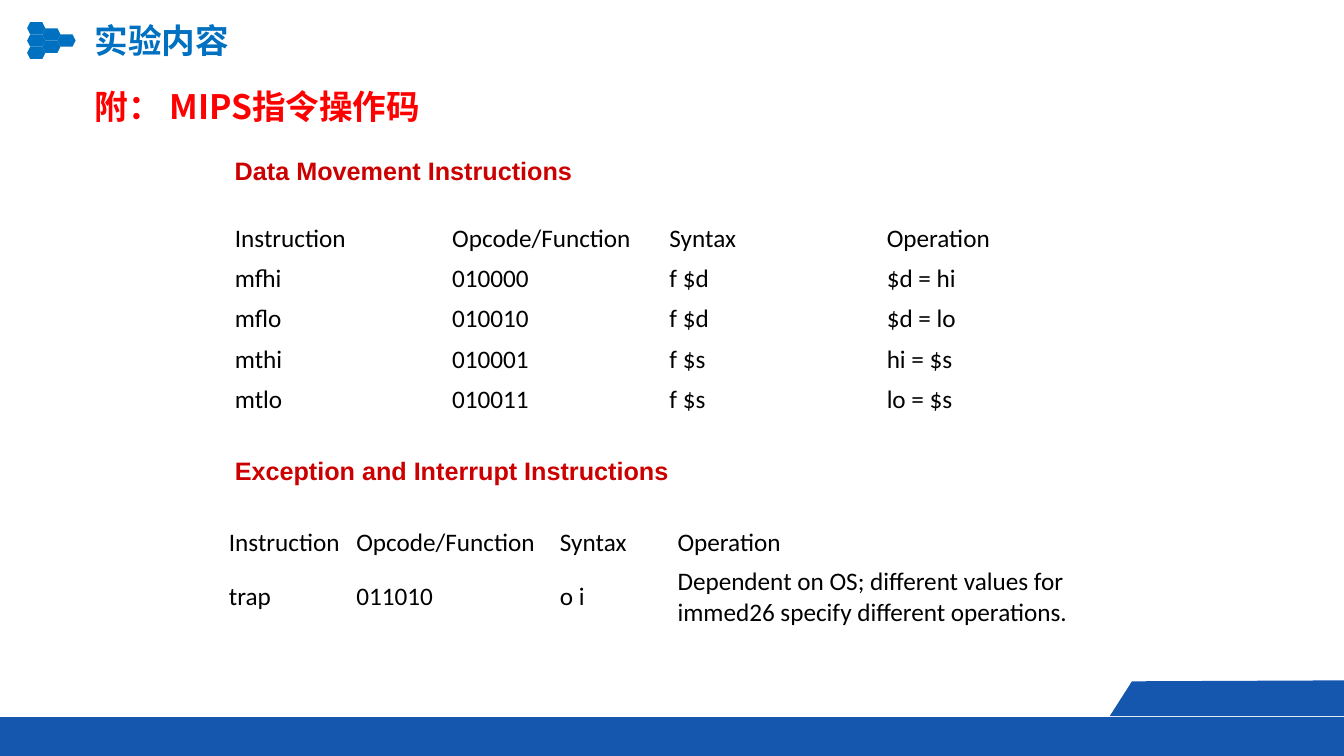
from lxml import etree
from pptx import Presentation
from pptx import util as u
from pptx.dml.color import RGBColor
from pptx.enum import shapes, text
from pptx.oxml import ns

Pt = u.Pt
COLOURS = {
    "icon": "0070C0",
    "footer": "1557AE",
    "appendix": "FF0000",
    "section": "CC0000",
    "body": "000000",
    "cell": "FFFFFF",
}
CJK_FONT = "Noto Sans CJK SC"
HEADER = ["Instruction", "Opcode/Function", "Syntax", "Operation"]
MOVEMENT_ROWS = [
    HEADER,
    ["mfhi", "010000", "f $d", "$d = hi"],
    ["mflo", "010010", "f $d", "$d = lo"],
    ["mthi", "010001", "f $s", "hi = $s"],
    ["mtlo", "010011", "f $s", "lo = $s"],
]
EXCEPTION_ROWS = [
    HEADER,
    ["trap", "011010", "o i",
     "Dependent on OS; different values for immed26 specify different operations."],
]


def colour(name):
    return RGBColor.from_string(COLOURS[name])


def paint(shape, fill):
    shape.shadow.inherit = False
    shape.fill.solid()
    shape.fill.fore_color.rgb = colour(fill)
    shape.line.fill.background()


def format_span(span, font, size, fill, bold=False):
    span.font.name = font
    span.font.size = Pt(size)
    span.font.bold = bold
    span.font.color.rgb = colour(fill)
    if font == CJK_FONT:
        east_asian = etree.SubElement(span.font._element, ns.qn("a:ea"))
        east_asian.set("typeface", font)


def add_shape(page, preset, left, top, width, height, fill):
    shape = page.shapes.add_shape(preset, Pt(left), Pt(top), Pt(width), Pt(height))
    paint(shape, fill)


def add_icon(page):
    for column in range(3):
        for row in range(3 - column):
            add_shape(page, shapes.MSO_SHAPE.HEXAGON, 19.4 + 10.8 * column,
                      15.8 + 4.4 * column + 8.8 * row, 13, 8.8, "icon")


def add_footer(page):
    add_shape(page, shapes.MSO_SHAPE.FLOWCHART_PROCESS, 0, 512, 960, 28, "footer")
    builder = page.shapes.build_freeform(Pt(960), Pt(511.5))
    corners = [(960, 486), (808.6, 486.7), (792.7, 511.5)]
    builder.add_line_segments([(Pt(x), Pt(y)) for x, y in corners])
    paint(builder.convert_to_shape(), "footer")


def add_heading(page, wording, left, top, width, height, font, size, fill, wrap, align):
    box = page.shapes.add_textbox(Pt(left), Pt(top), Pt(width), Pt(height))
    frame = box.text_frame
    frame.text = wording
    frame.word_wrap = wrap
    frame.auto_size = text.MSO_AUTO_SIZE.SHAPE_TO_FIT_TEXT
    para = frame.paragraphs[0]
    para.alignment = align
    format_span(para.runs[0], font, size, fill, True)


def add_title(page, wording, top, width, fill):
    add_heading(page, wording, 60.5, top, width, 36, CJK_FONT, 24, fill,
                True, text.PP_ALIGN.LEFT)


def add_section(page, wording, top, width):
    add_heading(page, wording, 160.6, top, width, 29, "Arial", 18, "section",
                False, text.PP_ALIGN.JUSTIFY)


def add_instructions(page, rows, top, widths, heights, inset=None, fill=None):
    frame = page.shapes.add_table(len(rows), len(widths), Pt(160.6), Pt(top),
                                  Pt(sum(widths)), Pt(sum(heights)))
    table = frame.table
    table.first_row = False
    table.horz_banding = False
    for column, width in zip(table.columns, widths):
        column.width = Pt(width)
    for row, height, wordings in zip(table.rows, heights, rows):
        row.height = Pt(height)
        for cell, wording in zip(row.cells, wordings):
            cell.text_frame.text = wording
            cell.vertical_anchor = text.MSO_ANCHOR.MIDDLE
            if inset is not None:
                cell.margin_left = cell.margin_right = Pt(inset)
                cell.margin_top = cell.margin_bottom = Pt(inset)
            if fill:
                cell.fill.solid()
                cell.fill.fore_color.rgb = colour(fill)
            else:
                cell.fill.background()
            format_span(cell.text_frame.paragraphs[0].runs[0], "Calibri", 18, "body")


def main():
    deck = Presentation()
    deck.slide_width = Pt(960)
    deck.slide_height = Pt(540)
    page = deck.slides.add_slide(deck.slide_layouts[6])
    add_icon(page)
    add_footer(page)
    add_section(page, "Data Movement Instructions", 107.5, 258)
    add_instructions(page, MOVEMENT_ROWS, 155.8, [155.2] * 4, [28.8] * 5, fill="cell")
    add_section(page, "Exception and Interrupt Instructions", 322, 327.5)
    add_instructions(page, EXCEPTION_ROWS, 373.7, [91, 145.5, 84, 286.5], [28, 49], inset=2.9)
    add_title(page, "附： MIPS指令操作码", 57.5, 716, "appendix")
    add_title(page, "实验内容", 11, 217, "icon")
    deck.save("out.pptx")


if __name__ == "__main__":
    main()
